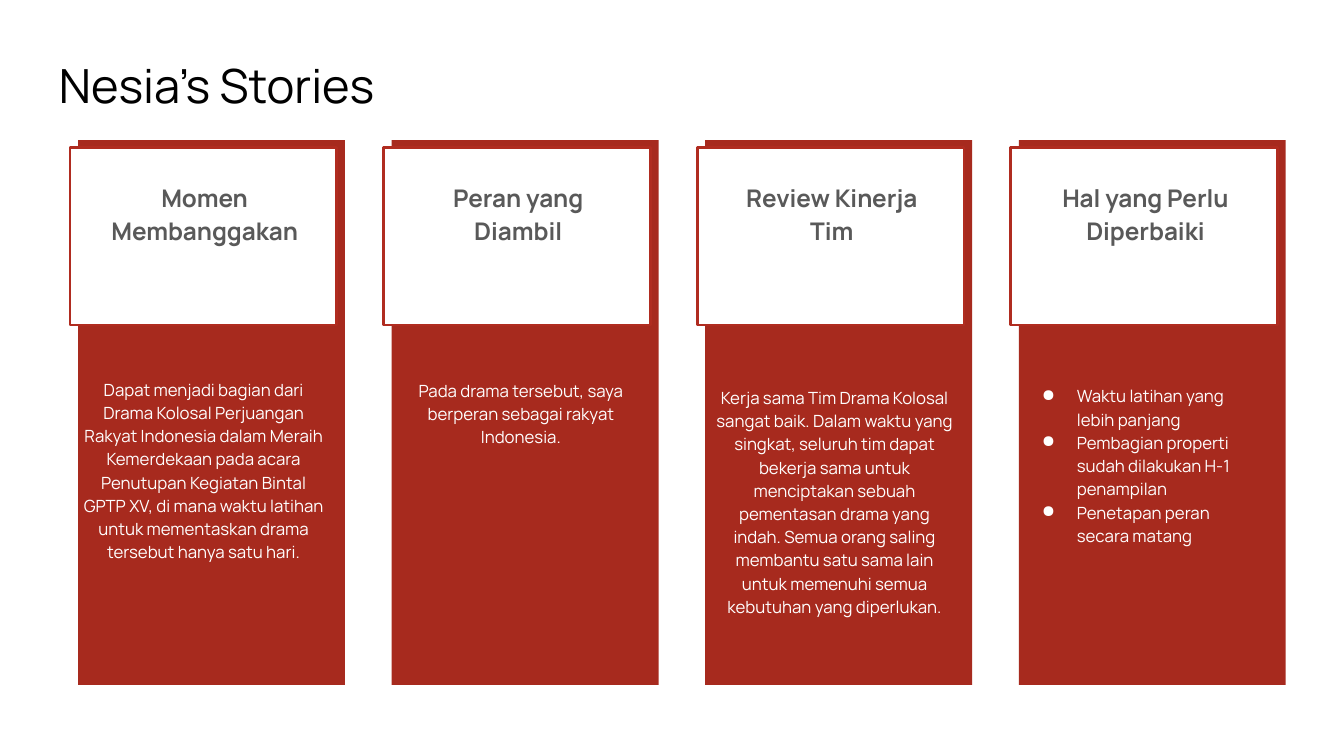
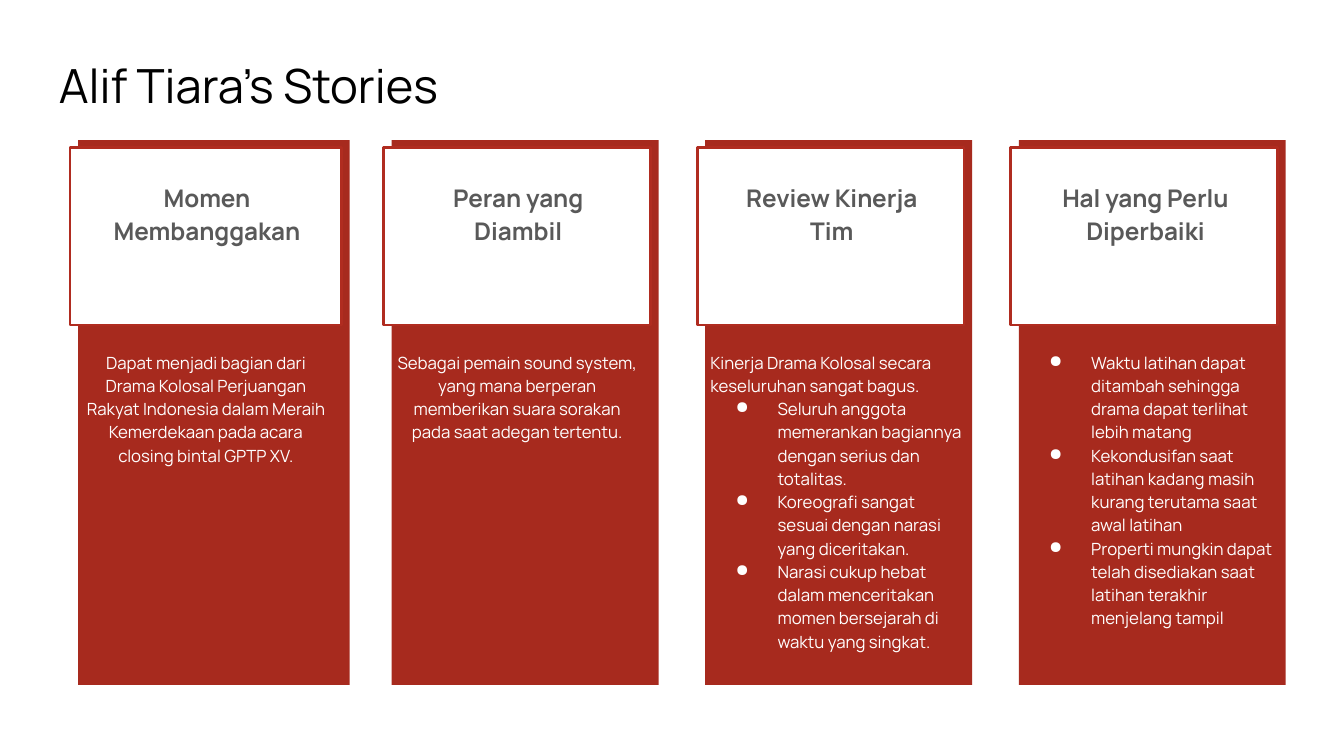
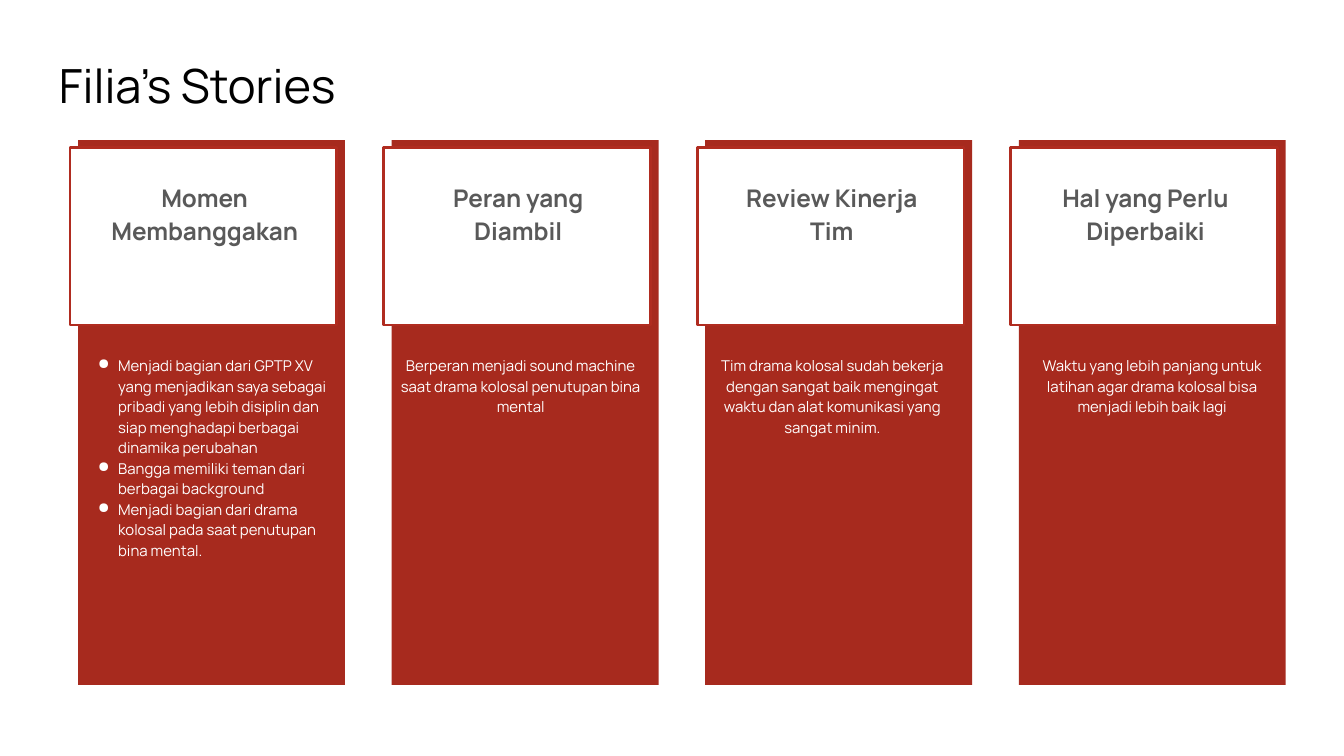
from dataclasses import dataclass

from lxml.etree import SubElement
from pptx import Presentation
from pptx.dml.color import RGBColor
from pptx.enum.shapes import MSO_SHAPE as Shape
from pptx.enum.text import MSO_ANCHOR as Anchor, PP_ALIGN as Align
from pptx.oxml.ns import qn
from pptx.shapes.autoshape import Shape as AutoShape
from pptx.shapes.shapetree import GroupShapes
from pptx.slide import Slide
from pptx.text.text import _Paragraph as Paragraph
from pptx.util import Pt


@dataclass(frozen=True)
class Theme:
    font: str = "Manrope"
    panel: str = "A72A1E"
    border: str = "B02C20"
    white: str = "FFFFFF"
    title: str = "000000"
    heading: str = "595959"
    title_size: float = 25.2
    heading_size: float = 13
    body_size: float = 9
    small_size: float = 8
    line_spacing: float = 1.15


@dataclass(frozen=True)
class Box:
    left: float
    top: float
    width: float
    height: float

    def moved(self, across: float) -> "Box":
        return Box(self.left + across, self.top, self.width, self.height)

    def widened(self, extra: float) -> "Box":
        return Box(self.left, self.top, self.width + extra, self.height)

    def lengths(self) -> tuple[Pt, Pt, Pt, Pt]:
        return Pt(self.left), Pt(self.top), Pt(self.width), Pt(self.height)


@dataclass(frozen=True)
class Bullets:
    """Left margin of bulleted text and how far the bullet hangs before it."""
    margin: float
    hang: float


@dataclass(frozen=True)
class Body:
    """Text below a heading; shift and extra adjust its box against the card."""
    top: float
    intro: str = ""
    items: tuple[str, ...] = ()
    bullets: Bullets | None = None
    align: Align = Align.CENTER
    size: float = Theme.body_size
    shift: float = 0
    extra: float = 0


@dataclass(frozen=True)
class Story:
    title: str
    bodies: tuple[Body, ...]
    first_extra: float = 0


THEME = Theme()
SLIDE_WIDTH, SLIDE_HEIGHT = 720, 405
COLUMN_PITCH = 168
TITLE = Box(24.5, 23.1, 671, 45.4)
PANEL = Box(41.8, 75, 143, 292)
CARD = Box(37.5, 79.2, 143, 95)
HEADING = Box(45.6, 88.6, 128, 48)
BODY_HEIGHT = 77.8
INSET = 7.2
HEADINGS = (
    "Momen Membanggakan",
    "Peran yang Diambil",
    "Review Kinerja Tim",
    "Hal yang Perlu Diperbaiki",
)
WIDE_BULLETS = Bullets(36, 22.5)
SMALL_TOP = 182.4

STORIES = (
    Story("Nesia’s Stories", (
        Body(194.4, "Dapat menjadi bagian dari Drama Kolosal Perjuangan Rakyat Indonesia "
             "dalam Meraih Kemerdekaan pada acara Penutupan Kegiatan Bintal GPTP XV, "
             "di mana waktu latihan untuk mementaskan drama tersebut hanya satu hari."),
        Body(195, "Pada drama tersebut, saya berperan sebagai rakyat Indonesia.", shift=2),
        Body(198.8, "Kerja sama Tim Drama Kolosal sangat baik. Dalam waktu yang singkat, "
             "seluruh tim dapat bekerja sama untuk menciptakan sebuah pementasan drama "
             "yang indah. Semua orang saling membantu satu sama lain untuk memenuhi "
             "semua kebutuhan yang diperlukan.", shift=2),
        Body(198, items=(
            "Waktu latihan yang lebih panjang",
            "Pembagian properti sudah dilakukan H-1 penampilan",
            "Penetapan peran secara matang",
        ), bullets=Bullets(28.3, 18.7)),
    )),
    Story("Alif Tiara’s Stories", (
        Body(180, "Dapat menjadi bagian dari Drama Kolosal Perjuangan Rakyat Indonesia "
             "dalam Meraih Kemerdekaan pada acara closing bintal GPTP XV.", extra=2.5),
        Body(180, "Sebagai pemain sound system, yang mana berperan memberikan suara "
             "sorakan pada saat adegan tertentu."),
        Body(180, "Kinerja Drama Kolosal secara keseluruhan sangat bagus.", (
            "Seluruh anggota memerankan bagiannya dengan serius dan totalitas.",
            "Koreografi sangat sesuai dengan narasi yang diceritakan.",
            "Narasi cukup hebat dalam menceritakan momen bersejarah di waktu yang singkat.",
        ), WIDE_BULLETS, Align.LEFT, extra=6.8),
        Body(180, items=(
            "Waktu latihan dapat ditambah sehingga drama dapat terlihat lebih matang",
            "Kekondusifan saat latihan kadang masih kurang terutama saat awal latihan",
            "Properti mungkin dapat telah disediakan saat latihan terakhir menjelang tampil",
        ), bullets=WIDE_BULLETS, extra=11),
    ), first_extra=2.5),
    Story("Filia’s Stories", (
        Body(SMALL_TOP, items=(
            "Menjadi bagian dari GPTP XV yang menjadikan saya sebagai pribadi yang lebih "
            "disiplin dan siap menghadapi berbagai dinamika perubahan",
            "Bangga memiliki teman dari berbagai background",
            "Menjadi bagian dari drama kolosal pada saat penutupan bina mental.",
        ), bullets=Bullets(14.4, 10.8), size=THEME.small_size, shift=4.3),
        Body(SMALL_TOP, "Berperan menjadi sound machine saat drama kolosal penutupan "
             "bina mental", size=THEME.small_size, shift=2),
        Body(SMALL_TOP, "Tim drama kolosal sudah bekerja dengan sangat baik mengingat "
             "waktu dan alat komunikasi yang sangat minim.", size=THEME.small_size, shift=1),
        Body(SMALL_TOP, "Waktu yang lebih panjang untuk latihan agar drama kolosal bisa "
             "menjadi lebih baik lagi", size=THEME.small_size, shift=4.3),
    )),
)


def add_rectangle(shapes: GroupShapes, box: Box, fill: str, line: str | None = None) -> None:
    shape = shapes.add_shape(Shape.RECTANGLE, *box.lengths())
    shape.shadow.inherit = False
    shape.fill.solid()
    shape.fill.fore_color.rgb = RGBColor.from_string(fill)
    if line:
        shape.line.color.rgb = RGBColor.from_string(line)
        shape.line.width = Pt(1.5)
    else:
        shape.line.fill.background()


def add_text_box(shapes: GroupShapes, box: Box) -> AutoShape:
    shape = shapes.add_textbox(*box.lengths())
    frame = shape.text_frame
    frame.word_wrap = True
    frame.vertical_anchor = Anchor.TOP
    frame.margin_left = frame.margin_right = Pt(INSET)
    frame.margin_top = frame.margin_bottom = Pt(INSET)
    return shape


def style(paragraph: Paragraph, size: float, color: str, bold: bool = False) -> None:
    paragraph.font.name = THEME.font
    paragraph.font.size = Pt(size)
    paragraph.font.bold = bold
    paragraph.font.color.rgb = RGBColor.from_string(color)


def add_bullet(paragraph: Paragraph, bullets: Bullets) -> None:
    properties = paragraph._p.get_or_add_pPr()
    properties.set("marL", str(Pt(bullets.margin)))
    properties.set("indent", str(-Pt(bullets.hang)))
    color = SubElement(properties, qn("a:buClr"))
    SubElement(color, qn("a:srgbClr"), val=THEME.white)
    SubElement(properties, qn("a:buChar"), char="●")


def add_body(shapes: GroupShapes, body: Body, across: float) -> None:
    box = Box(CARD.left + across + body.shift, body.top, CARD.width + body.extra, BODY_HEIGHT)
    frame = add_text_box(shapes, box).text_frame
    texts = ((body.intro,) if body.intro else ()) + body.items
    for index, text in enumerate(texts):
        paragraph = frame.add_paragraph() if index else frame.paragraphs[0]
        paragraph.text = text
        paragraph.line_spacing = THEME.line_spacing
        if text in body.items:
            paragraph.alignment = Align.LEFT
            add_bullet(paragraph, body.bullets)
        else:
            paragraph.alignment = body.align
        style(paragraph, body.size, THEME.white)


def add_column(slide: Slide, heading: str, body: Body, across: float, extra: float) -> None:
    shapes = slide.shapes.add_group_shape().shapes
    add_rectangle(shapes, PANEL.moved(across).widened(extra), THEME.panel)
    add_rectangle(shapes, CARD.moved(across).widened(extra), THEME.white, THEME.border)
    label = add_text_box(shapes, HEADING.moved(across).widened(extra))
    paragraph = label.text_frame.paragraphs[0]
    paragraph.text = heading
    paragraph.alignment = Align.CENTER
    paragraph.line_spacing = THEME.line_spacing
    style(paragraph, THEME.heading_size, THEME.heading, bold=True)
    add_body(shapes, body, across)


def add_story(slide: Slide, story: Story) -> None:
    title = add_text_box(slide.shapes, TITLE).text_frame.paragraphs[0]
    title.text = story.title
    style(title, THEME.title_size, THEME.title)
    for index, (heading, body) in enumerate(zip(HEADINGS, story.bodies)):
        extra = 0 if index else story.first_extra
        add_column(slide, heading, body, index * COLUMN_PITCH, extra)


def main() -> None:
    presentation = Presentation()
    presentation.slide_width = Pt(SLIDE_WIDTH)
    presentation.slide_height = Pt(SLIDE_HEIGHT)
    blank = presentation.slide_layouts[6]
    for story in STORIES:
        add_story(presentation.slides.add_slide(blank), story)
    presentation.save("out.pptx")


if __name__ == "__main__":
    main()
